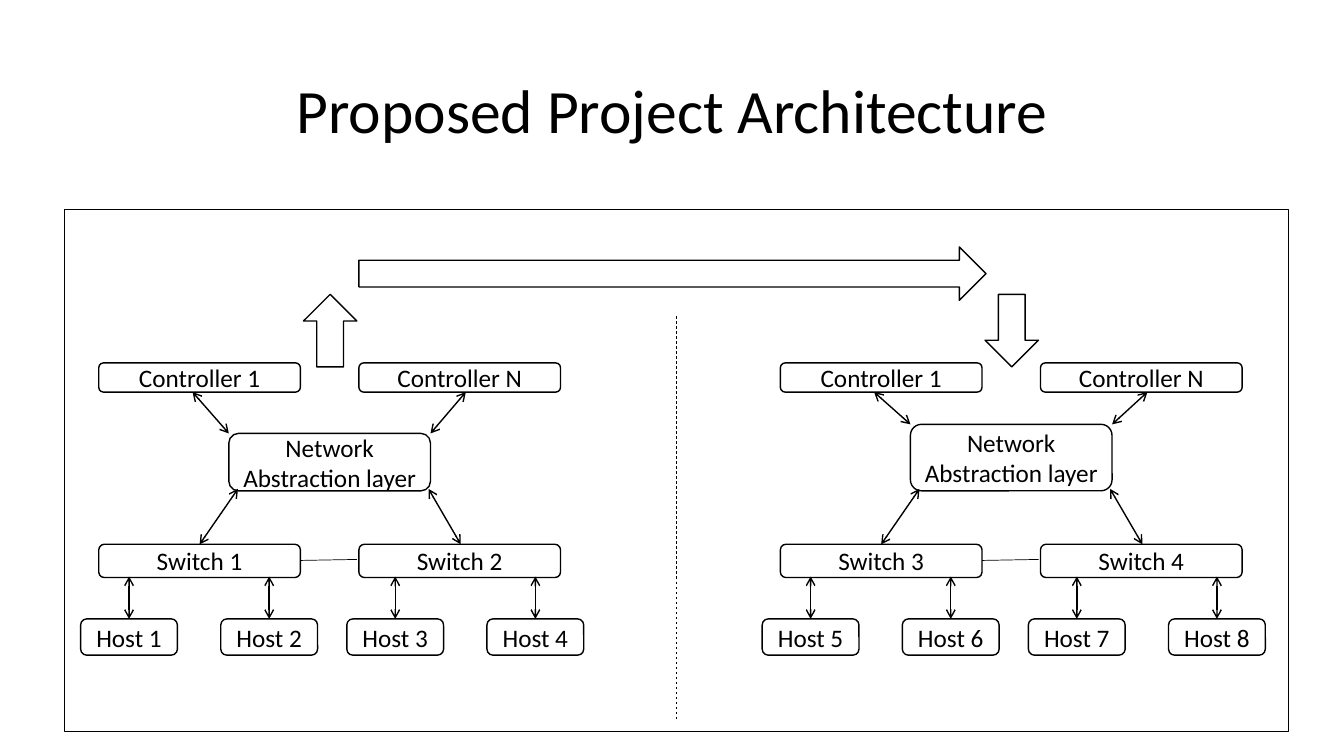
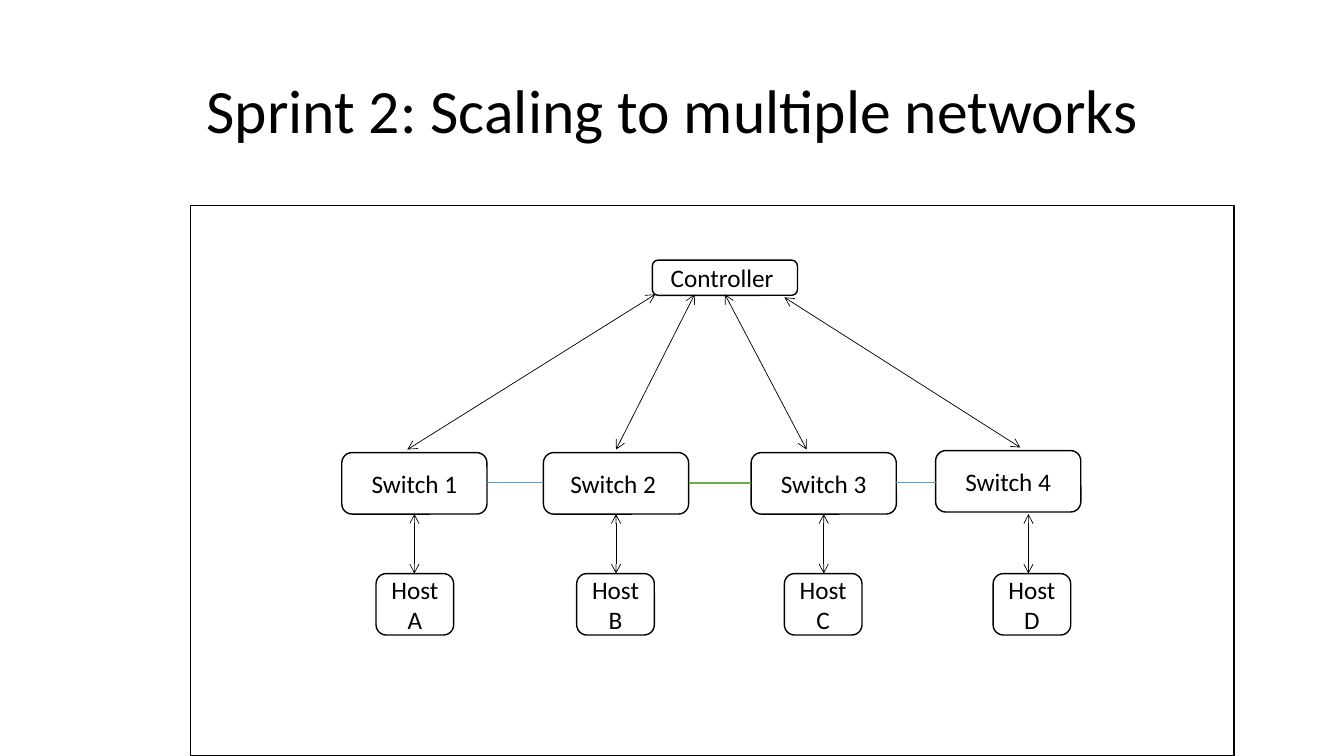
import dataclasses

import pptx
import pptx.dml.color
import pptx.enum.dml
import pptx.enum.shapes
import pptx.enum.text
import pptx.oxml
import pptx.oxml.ns
import pptx.util

SHAPE = pptx.enum.shapes.MSO_SHAPE
PX = 9144  # EMU in one px, 100 px to the inch


@dataclasses.dataclass(frozen=True)
class Theme:
    font: str = "Calibri"
    title_size: int = 44
    body_size: int = 18
    ink: str = "000000"
    paper: str = "FFFFFF"
    link: str = "5B9BD5"
    highlight: str = "70AD47"
    thin: float = 0.5
    normal: float = 1
    thick: float = 1.5


THEME = Theme()
FRAME_FORMAT = {
    "word_wrap": True,
    "auto_size": pptx.enum.text.MSO_AUTO_SIZE.NONE,
    "vertical_anchor": pptx.enum.text.MSO_ANCHOR.MIDDLE,
}


# Shared helpers
def px(*lengths):
    return [pptx.util.Emu(n * PX) for n in lengths]


def rgb(value):
    return pptx.dml.color.RGBColor.from_string(value)


def set_format(target, values):
    for name, value in values.items():
        setattr(target, name, value)


def write(shape, text, size, spacing=1.0):
    """Centred text, one paragraph for each line."""
    tf = shape.text_frame
    set_format(tf, FRAME_FORMAT)
    for i, line in enumerate(text.split("\n")):
        p = tf.add_paragraph() if i else tf.paragraphs[0]
        set_format(p, {"alignment": pptx.enum.text.PP_ALIGN.CENTER,
                       "line_spacing": spacing})
        r = p.add_run()
        r.text = line
        set_format(r.font, {"name": THEME.font, "size": pptx.util.Pt(size)})
        r.font.color.rgb = rgb(THEME.ink)


# Kinds of element
def add_outline(s, kind, x, y, w, h):
    sp = s.shapes.add_shape(kind, *px(x, y, w, h))
    sp.shadow.inherit = False
    sp.fill.solid()
    sp.fill.fore_color.rgb = rgb(THEME.paper)
    sp.line.color.rgb = rgb(THEME.ink)
    sp.line.width = pptx.util.Pt(THEME.normal)
    return sp


def add_node(s, text, x, y, w, h):
    write(add_outline(s, SHAPE.ROUNDED_RECTANGLE, x, y, w, h),
          text, THEME.body_size)


def add_line(s, start, end, color=THEME.ink, width=THEME.thin,
             arrows=False, dash=None):
    c = s.shapes.add_connector(pptx.enum.shapes.MSO_CONNECTOR.STRAIGHT,
                               *px(*start, *end))
    c.line.color.rgb = rgb(color)
    c.line.width = pptx.util.Pt(width)
    if dash is not None:
        c.line.dash_style = dash
    if arrows:
        for tag in ("a:headEnd", "a:tailEnd"):
            tip = pptx.oxml.parse_xml(
                f'<{tag} {pptx.oxml.ns.nsdecls("a")} type="arrow"/>')
            c.get_or_add_ln().append(tip)
    c._element.spPr.append(pptx.oxml.parse_xml(
        f'<a:effectLst {pptx.oxml.ns.nsdecls("a")}/>'))


def add_slide(prs, title, panel):
    """Blank slide with the common title and a framed panel."""
    s = prs.slides.add_slide(prs.slide_layouts[6])
    write(s.shapes.add_textbox(*px(92, 40, 1150, 145)),
          title, THEME.title_size, 0.9)
    add_outline(s, SHAPE.RECTANGLE, *panel)
    return s


# Slide 1: two sites joined by block arrows
def add_site(s, dx, layer_top, first_switch, first_host):
    node_w, switch_y, host_y = 200, 540, 614
    for i, x in enumerate((98, 356)):
        add_node(s, ("Controller 1", "Controller N")[i], x + dx, 360, node_w, 29)
        add_node(s, f"Switch {first_switch + i}", x + dx, switch_y, node_w, 33)
    add_node(s, "Network Abstraction layer",
             227 + dx, layer_top, node_w, 487 - layer_top)
    for i, x in enumerate((80, 219, 344, 483)):
        add_node(s, f"Host {first_host + i}", x + dx, host_y, 96, 36)
        port = x + dx + 48
        add_line(s, (port, 572), (port, host_y),
                 width=THEME.normal, arrows=True)

    # Links between the layers
    for x1, y1, x2, y2 in ((191, 389, 227, layer_top),
                           (462, 389, 427, layer_top),
                           (236, 485, 198, switch_y),
                           (425, 485, 457, switch_y)):
        add_line(s, (x1 + dx, y1), (x2 + dx, y2),
                 width=THEME.normal, arrows=True)
    add_line(s, (298 + dx, 556), (354 + dx, 555))


def build_architecture(prs):
    s = add_slide(prs, "Proposed Project Architecture", (64, 208, 1214, 518))
    add_site(s, 0, 430, 1, 1)
    add_site(s, 676, 421, 3, 5)
    add_outline(s, SHAPE.UP_ARROW, 301, 292, 53, 72)
    add_outline(s, SHAPE.RIGHT_ARROW, 356, 245, 622, 53)
    add_outline(s, SHAPE.DOWN_ARROW, 977, 292, 53, 72)
    add_line(s, (671, 314), (671, 714),
             dash=pptx.enum.dml.MSO_LINE_DASH_STYLE.DASH)


# Slide 2: one controller over four networks
def build_scaling(prs):
    s = add_slide(prs, "Sprint 2: Scaling to multiple networks",
                  (189, 204, 1035, 546))
    add_node(s, "Controller ", 647, 258, 144, 35)

    # Switch text and place, host text and left, port, controller link
    networks = (
        ("Switch 1", 339, 449, "A", 373, 411, (650, 292), (404, 446)),
        ("Switch 2 ", 539, 449, "B", 572, 611, (689, 292), (611, 446)),
        ("Switch 3", 745, 449, "C", 778, 817, (719, 292), (800, 446)),
        ("Switch 4", 928, 447, "D", 985, 1020, (778, 295), (1012, 444)),
    )
    for switch, x, y, host, host_x, port, upper, lower in networks:
        add_node(s, switch, x, y, 144, 61)
        add_node(s, f"Host\n{host}", host_x, 569, 77, 61)
        add_line(s, (port, 510), (port, 569), arrows=True)
        add_line(s, upper, lower, arrows=True)

    # Links between neighbouring switches
    styles = ((THEME.link, THEME.thin), (THEME.highlight, THEME.thick),
              (THEME.link, THEME.thin))
    for left, right, (color, width) in zip(networks, networks[1:], styles):
        add_line(s, (left[1] + 144, 479), (right[1], 479), color, width)


def main():
    prs = pptx.Presentation()
    prs.slide_width, prs.slide_height = px(1333, 750)
    build_architecture(prs)
    build_scaling(prs)
    prs.save("out.pptx")


if __name__ == "__main__":
    main()
